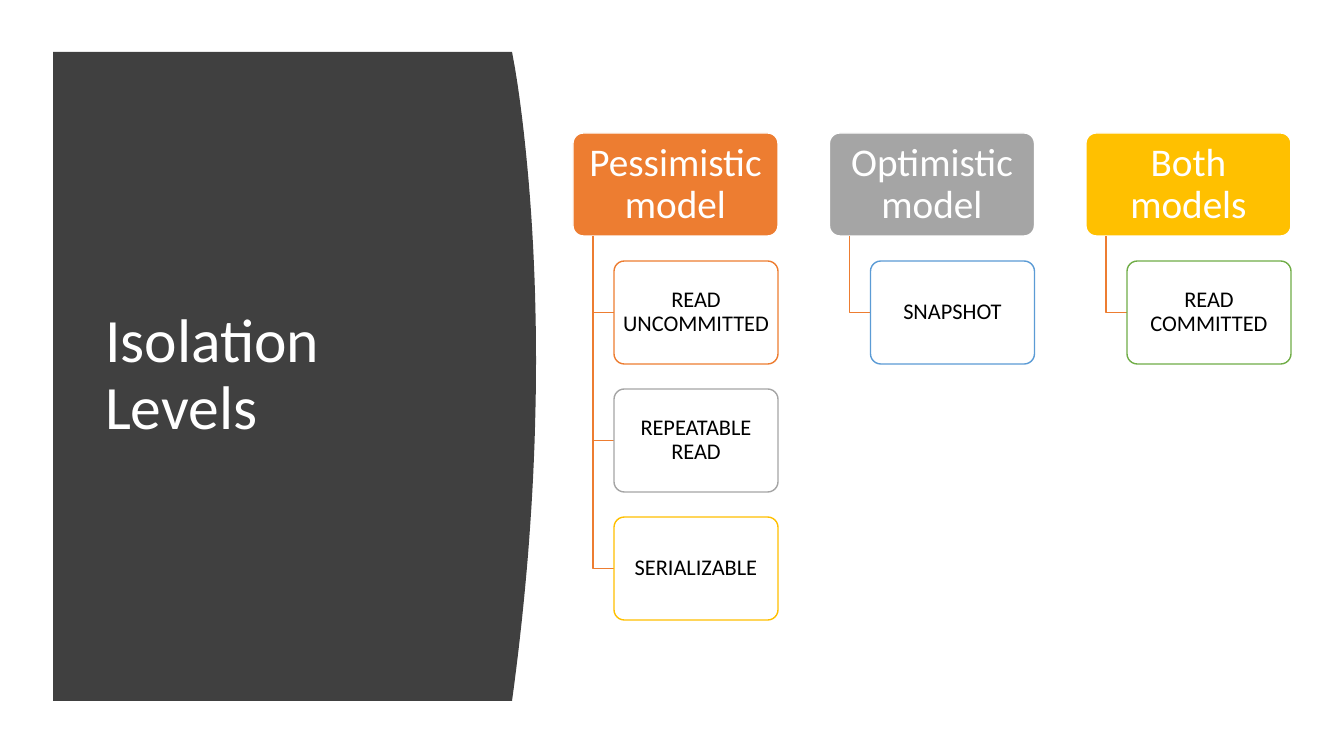
import pptx
import pptx.util
import pptx.dml.color
import pptx.enum.shapes
import pptx.enum.text

SCALE = 914400 / 100.8
FONT = "Calibri"
ORANGE, GRAY, GOLD, BLUE, GREEN = "ED7D31", "A5A5A5", "FFC000", "5B9BD5", "70AD47"
WHITE, BLACK, CHARCOAL = "FFFFFF", "000000", "404040"
MODELS = [
    ("Pessimistic model", ORANGE, [("READ UNCOMMITTED", ORANGE),
                                   ("REPEATABLE READ", GRAY),
                                   ("SERIALIZABLE", GOLD)]),
    ("Optimistic model", GRAY, [("SNAPSHOT", BLUE)]),
    ("Both models", GOLD, [("READ COMMITTED", GREEN)]),
]


def emu(pixels):
    return pptx.util.Emu(round(pixels * SCALE))


def color(value):
    return pptx.dml.color.RGBColor.from_string(value)


def paint(shape, fill=None, line=None):
    shape.shadow.inherit = False
    if fill:
        shape.fill.solid()
        shape.fill.fore_color.rgb = color(fill)
    else:
        shape.fill.background()
    if line:
        shape.line.color.rgb = color(line)
        shape.line.width = pptx.util.Pt(1)
    else:
        shape.line.fill.background()


def write(shape, text, size, ink, align, inset_x, inset_y):
    frame = shape.text_frame
    frame.text = text
    frame.word_wrap = True
    frame.auto_size = pptx.enum.text.MSO_AUTO_SIZE.NONE
    frame.vertical_anchor = pptx.enum.text.MSO_ANCHOR.MIDDLE
    frame.margin_left = frame.margin_right = emu(inset_x)
    frame.margin_top = frame.margin_bottom = emu(inset_y)
    para = frame.paragraphs[0]
    para.alignment = align
    para.line_spacing = 0.9
    font = para.runs[0].font
    font.name = FONT
    font.size = pptx.util.Pt(size)
    font.color.rgb = color(ink)


def add_outline(page, points, closed):
    corners = [(emu(x), emu(y)) for x, y in points]
    builder = page.shapes.build_freeform(*corners[0])
    builder.add_line_segments(corners[1:], close=closed)
    return builder.convert_to_shape()


def add_card(page, box, text, size, ink, fill, line, inset_x, inset_y):
    card = page.shapes.add_shape(
        pptx.enum.shapes.MSO_SHAPE.ROUNDED_RECTANGLE, *map(emu, box))
    card.adjustments[0] = 0.1
    paint(card, fill, line)
    write(card, text, size, ink, pptx.enum.text.PP_ALIGN.CENTER, inset_x, inset_y)


def add_title_panel(page, box):
    left, top, width, height = box
    bulge, lean, steps = 24, 0.93, 40
    edge = left + width - bulge
    points = [(left, top)]
    for step in range(steps + 1):
        share = step / steps
        bend = share ** lean
        points.append((edge + bulge * 4 * bend * (1 - bend), top + height * share))
    points.append((left, top + height))
    paint(add_outline(page, points, True), CHARCOAL)

    title = page.shapes.title
    title.left, title.top = emu(left + 42), emu(top + 60)
    title.width, title.height = emu(377), emu(height - 121)
    write(title, "Isolation Levels", 44, WHITE, pptx.enum.text.PP_ALIGN.LEFT, 10, 5)
    title.element.getparent().append(title.element)


def add_model(page, box, name, fill, levels):
    left, top, width, height = box
    gap = 25
    trunk, branch = left + 20, left + 41
    add_card(page, box, name, 28, WHITE, fill, WHITE, 6, 4)
    for row, (level, line) in enumerate(levels, 1):
        level_top = top + row * (height + gap)
        middle = level_top + height / 2
        elbow = [(trunk, top + height), (trunk, middle), (branch, middle)]
        paint(add_outline(page, elbow, False), line=ORANGE)
        add_card(page, (branch, level_top, 164, height), level, 16, BLACK,
                 WHITE, line, 3, 2)


def add_models(page, box):
    left, top, width, height = box
    card_width = 205
    pitch = (width - card_width) / (len(MODELS) - 1)
    for column, model in enumerate(MODELS):
        add_model(page, (left + column * pitch, top, card_width, height), *model)


deck = pptx.Presentation()
deck.slide_width, deck.slide_height = emu(1344), emu(756)
page = deck.slides.add_slide(deck.slide_layouts[5])
add_title_panel(page, (53, 52, 483, 649))
add_models(page, (573, 133, 718, 103))
deck.save("out.pptx")
